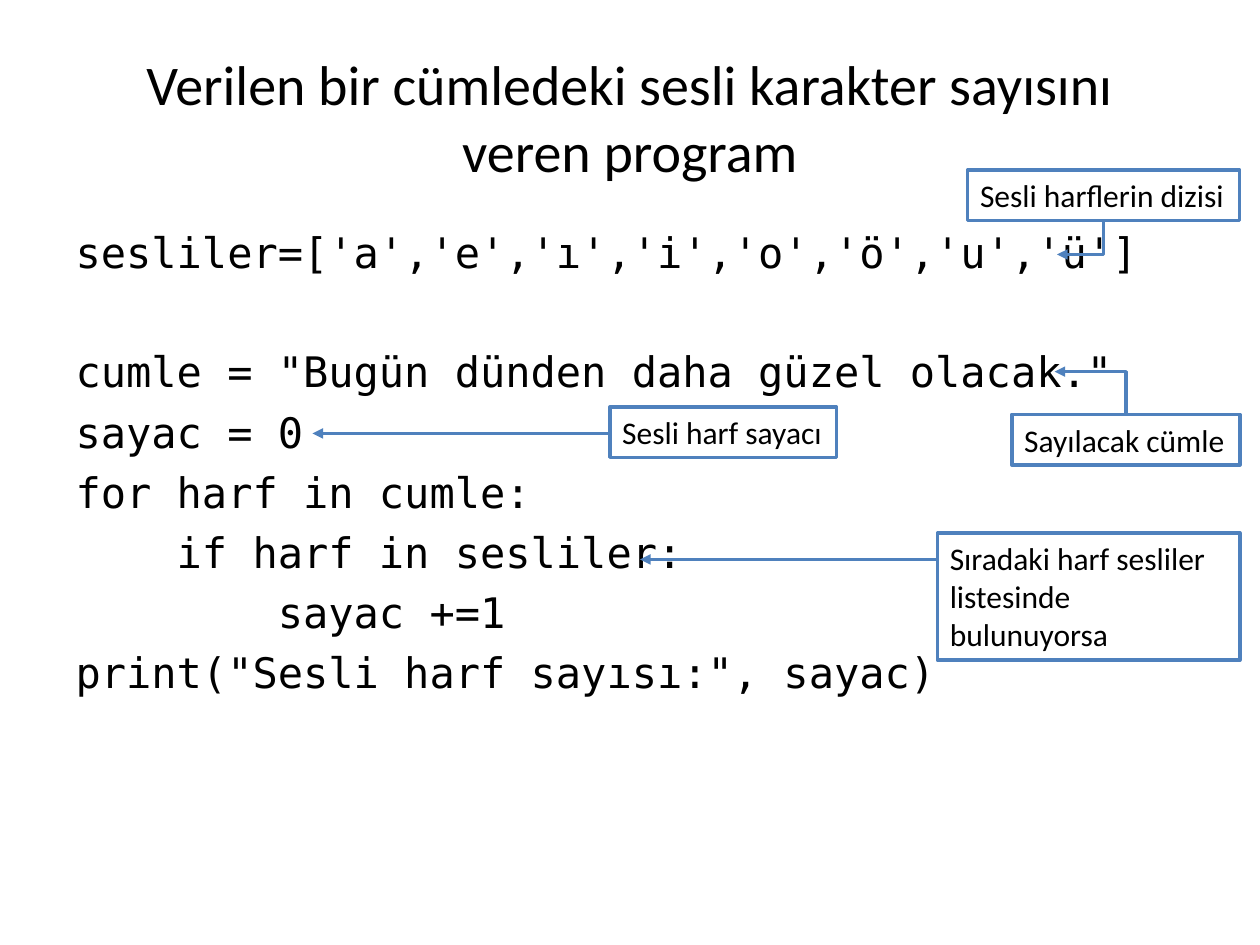
import pptx
import pptx.util
import pptx.dml.color
import pptx.enum.shapes
import pptx.enum.text
import pptx.oxml
import pptx.oxml.ns

Inches, Pt = pptx.util.Inches, pptx.util.Pt
CONNECTOR = pptx.enum.shapes.MSO_CONNECTOR
ANCHOR = pptx.enum.text.MSO_ANCHOR
AUTO_SIZE = pptx.enum.text.MSO_AUTO_SIZE
ALIGN = pptx.enum.text.PP_ALIGN

# Content
TITLE = "Verilen bir cümledeki sesli karakter sayısını veren program"
CODE_BLOCKS = [
    ["sesliler=['a','e','ı','i','o','ö','u','ü']"],
    [
        'cumle = "Bugün dünden daha güzel olacak."',
        "sayac = 0",
        "for harf in cumle:",
        "    if harf in sesliler:",
        "        sayac +=1",
        'print("Sesli harf sayısı:", sayac)',
    ],
]
# text, box (left, top, width, height), arrow tip, side the arrow leaves from
NOTES = [
    ("Sesli harflerin dizisi", (7.68, 1.35, 2.16, 0.4), (8.39, 2.02), "bottom"),
    ("Sayılacak cümle", (8.03, 3.29, 1.81, 0.4), (8.37, 2.95), "top"),
    ("Sesli harf sayacı", (4.84, 3.23, 1.8, 0.4), (2.48, 3.44), "left"),
    ("Sıradaki harf sesliler listesinde bulunuyorsa",
     (7.44, 4.23, 2.4, 1.01), (5.08, 4.44), "left"),
]
BLACK, WHITE, BLUE = "000000", "FFFFFF", "4F81BD"
LINE_GAP, LINE_PITCH = 5.6, 33.6  # points


def color(value):
    return pptx.dml.color.RGBColor.from_string(value)


def add_run(p, text, size, font):
    r = p.add_run()
    r.text = text
    r.font.size = Pt(size)
    r.font.name = font
    r.font.color.rgb = color(BLACK)


def place(sp, left, top, width, height):
    sp.left, sp.top = Inches(left), Inches(top)
    sp.width, sp.height = Inches(width), Inches(height)


def sub_element(parent, tag, **attributes):
    element = pptx.oxml.parse_xml(f"<{tag} {pptx.oxml.ns.nsdecls('a')}/>")
    for name, value in attributes.items():
        element.set(name, value)
    parent.append(element)


def add_code(tf):
    tf.auto_size = AUTO_SIZE.NONE
    first = True
    for block in CODE_BLOCKS:
        for row, text in enumerate(block):
            p = tf.paragraphs[0] if first else tf.add_paragraph()
            pPr = p._p.get_or_add_pPr()
            pPr.set("marL", "0")
            pPr.set("indent", "0")
            sub_element(pPr, "a:buNone")
            # One line's height separates the blocks
            gap = LINE_GAP if row else LINE_GAP + LINE_PITCH
            p.space_before = Pt(0 if first else gap)
            add_run(p, text, 24, "DejaVu Sans Mono")
            first = False


def add_box(s, text, box):
    sp = s.shapes.add_shape(pptx.enum.shapes.MSO_SHAPE.RECTANGLE,
                            *map(Inches, box))
    sp.shadow.inherit = False
    sp.fill.solid()
    sp.fill.fore_color.rgb = color(WHITE)
    sp.line.color.rgb = color(BLUE)
    sp.line.width = Pt(2)
    tf = sp.text_frame
    tf.word_wrap = box[3] > 0.5
    tf.vertical_anchor = ANCHOR.TOP
    p = tf.paragraphs[0]
    p.alignment = ALIGN.LEFT
    add_run(p, text, 18, "Calibri")


def add_arrow(s, box, tip, side):
    left, top, width, height = box
    start = {
        "left": (left, tip[1]),
        "top": (left + width / 2, top),
        "bottom": (left + width / 2, top + height),
    }[side]
    kind = CONNECTOR.STRAIGHT if side == "left" else CONNECTOR.ELBOW
    # Drawn from the tip, so an elbow runs level first and then turns to the box
    line = s.shapes.add_connector(kind, *map(Inches, tip + start))
    line.line.color.rgb = color(BLUE)
    line.line.width = Pt(2)
    spPr = line._element.spPr
    if kind == CONNECTOR.ELBOW:
        spPr.find(pptx.oxml.ns.qn("a:prstGeom")).set("prst", "bentConnector2")
    sub_element(line.line._get_or_add_ln(), "a:headEnd", type="triangle")
    sub_element(spPr, "a:effectLst")


def main():
    prs = pptx.Presentation()
    prs.slide_width, prs.slide_height = Inches(10), Inches(7.5)
    s = prs.slides.add_slide(prs.slide_layouts[1])

    # Title
    title = s.shapes.title
    place(title, 0.5, 0.3, 9, 1.25)
    title.text_frame.vertical_anchor = ANCHOR.MIDDLE
    p = title.text_frame.paragraphs[0]
    p.alignment = ALIGN.CENTER
    add_run(p, TITLE, 32, "Calibri")

    # Code listing
    body = s.placeholders[1]
    place(body, 0.5, 1.75, 9, 4.95)
    add_code(body.text_frame)

    # Notes with arrows into the code
    for text, box, tip, side in NOTES:
        add_box(s, text, box)
        add_arrow(s, box, tip, side)

    prs.save("out.pptx")


if __name__ == "__main__":
    main()
